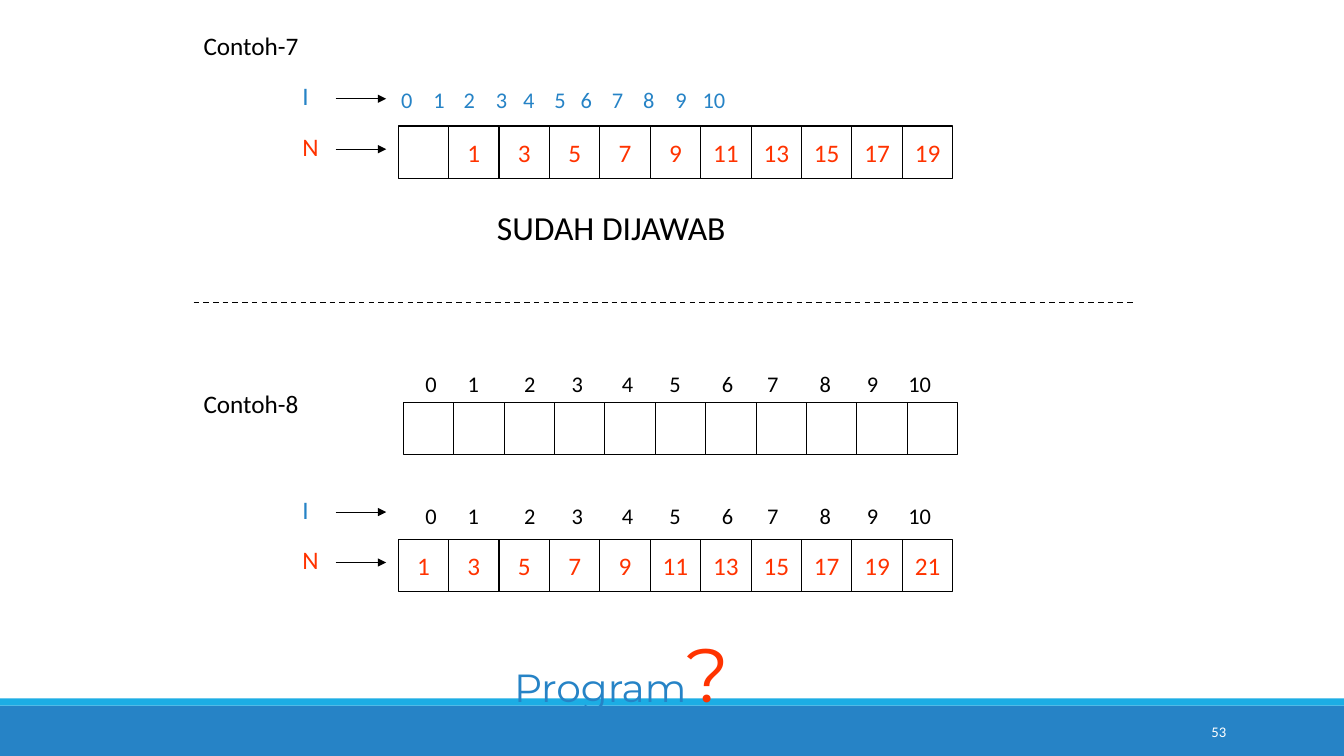
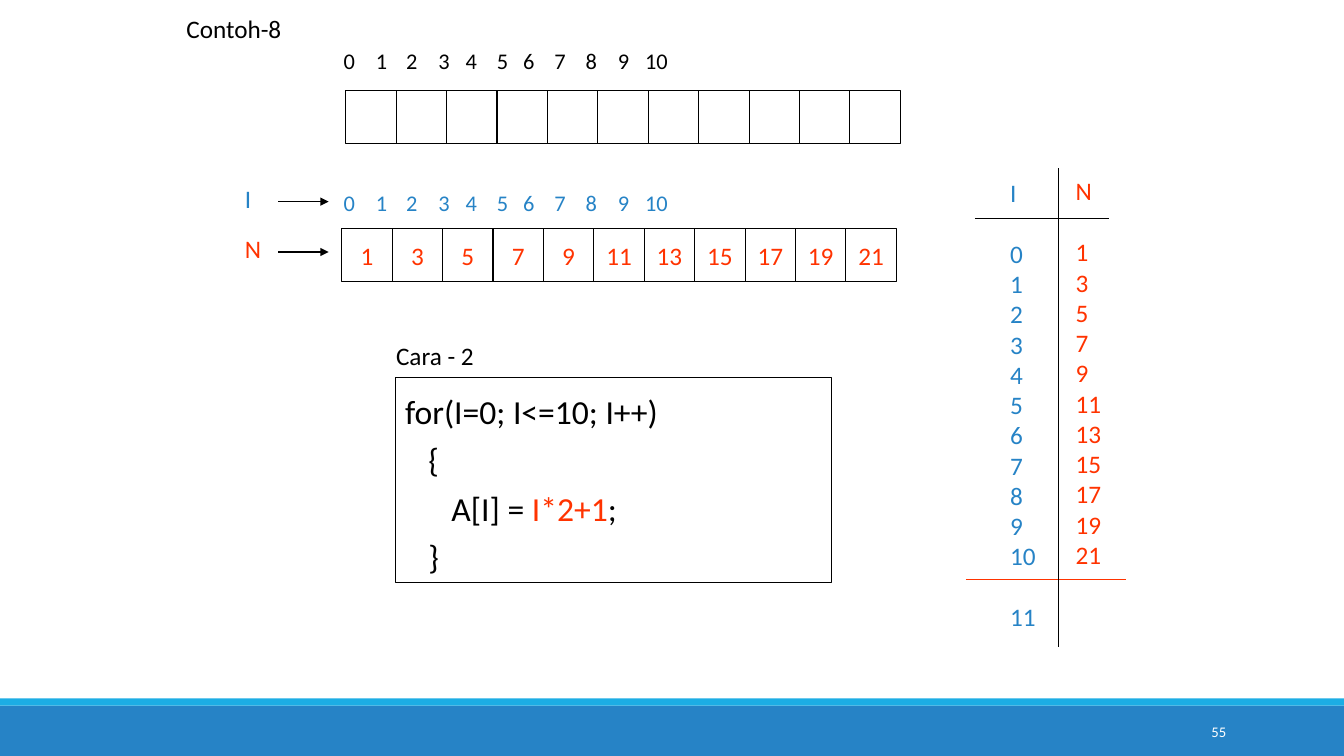
import pptx
import pptx.util
import pptx.dml.color
import pptx.enum.dml
import pptx.enum.shapes
import pptx.enum.text
import pptx.oxml.ns
import lxml.etree

Inches, Pt = pptx.util.Inches, pptx.util.Pt
RGB = pptx.dml.color.RGBColor.from_string
qn = pptx.oxml.ns.qn
RECT = pptx.enum.shapes.MSO_SHAPE.RECTANGLE
STRAIGHT = pptx.enum.shapes.MSO_CONNECTOR.STRAIGHT
ALIGN = pptx.enum.text.PP_ALIGN
ANCHOR = pptx.enum.text.MSO_ANCHOR
C = {"blue": "2683C6", "cyan": "1CADE4", "red": "FF3300", "black": "000000", "white": "FFFFFF"}


def write(sp, text, size, color, wrap=False, anchor=ANCHOR.TOP, align=ALIGN.LEFT):
    tf = sp.text_frame
    tf.text = text
    tf.word_wrap = wrap
    tf.vertical_anchor = anchor
    for p in tf.paragraphs:
        p.alignment = align
        for r in p.runs:
            r.font.name = "Calibri"
            r.font.size = Pt(size)
            r.font.color.rgb = RGB(C[color])
    return tf


def add_line(s, x1, y1, x2, y2, color="black", width=0.75):
    line = s.shapes.add_connector(STRAIGHT, Inches(x1), Inches(y1), Inches(x2), Inches(y2))
    line.line.color.rgb = RGB(C[color])
    line.line.width = Pt(width)
    lxml.etree.SubElement(line.element.spPr, qn("a:effectLst"))
    return line


prs = pptx.Presentation()
prs.slide_width, prs.slide_height = Inches(13.33), Inches(7.5)
layout = prs.slide_layouts[6]
s1, s2 = prs.slides.add_slide(layout), prs.slides.add_slide(layout)

for y, h, color in [(7, 0.5, "blue"), (6.93, 0.07, "cyan")]:
    band = s1.shapes.add_shape(RECT, 0, Inches(y), prs.slide_width, Inches(h))
    band.shadow.inherit = False
    band.fill.solid()
    band.fill.fore_color.rgb = RGB(C[color])
    band.line.fill.background()
    layout.shapes.element.append(band.element)

for s, number in [(s1, "53"), (s2, "55")]:
    sp = s.shapes.add_textbox(Inches(10.83), Inches(7.06), Inches(1.43), Inches(0.4))
    write(sp, number, 10.5, "white", True, ANCHOR.MIDDLE, ALIGN.RIGHT)

odds = [str(n) for n in range(1, 22, 2)]
empty = [""] * 11
rows = [
    (s1, 3.95, 1.25, [""] + odds[:10]),
    (s1, 4, 3.99, empty),
    (s1, 3.95, 5.35, odds),
    (s2, 3.43, 0.9, empty),
    (s2, 3.39, 2.27, odds),
]
for s, x, y, values in rows:
    group = s.shapes.add_group_shape()
    for i, value in enumerate(values):
        cell = group.shapes.add_shape(RECT, Inches(x + 0.5 * i), Inches(y), Inches(0.5), Inches(0.52))
        cell.shadow.inherit = False
        cell.fill.background()
        cell.line.color.rgb = RGB(C["black"])
        cell.line.width = Pt(0.75)
        if value:
            write(cell, value, 18, "red", False, ANCHOR.MIDDLE, ALIGN.CENTER)

narrow = [0.32, 0.62, 0.94, 1.21, 1.52, 1.78, 2.09, 2.4, 2.72, 2.99]
wide = [0.42, 0.98, 1.45, 1.95, 2.42, 2.94, 3.39, 3.91, 4.38, 4.79]
indices = [
    (s1, 3.88, 0.81, narrow, "blue"),
    (s1, 4.12, 3.62, wide, "black"),
    (s1, 4.12, 4.93, wide, "black"),
    (s2, 3.31, 0.42, narrow, "black"),
    (s2, 3.31, 1.83, narrow, "blue"),
]
for s, x, y, stops, color in indices:
    sp = s.shapes.add_textbox(Inches(x), Inches(y), Inches(stops[-1] + 0.6), Inches(0.37))
    tf = write(sp, "\t".join(str(n) for n in range(11)), 16, color, True)
    tabs = lxml.etree.SubElement(tf.paragraphs[0]._p.get_or_add_pPr(), qn("a:tabLst"))
    for stop in stops:
        lxml.etree.SubElement(tabs, qn("a:tab"), pos=str(Inches(stop)), algn="l")

for s, x, y in [(s1, 2.9, 0.75), (s1, 2.9, 4.85), (s2, 2.33, 1.77)]:
    for name, w, color, dy in [("I", 0.27, "blue", 0), ("N", 0.36, "red", 0.5)]:
        sp = s.shapes.add_textbox(Inches(x), Inches(y + dy), Inches(w), Inches(0.4))
        write(sp, name, 18, color)
        arrow = add_line(s, x + 0.43, y + dy + 0.23, x + 0.93, y + dy + 0.23)
        lxml.etree.SubElement(arrow.line._get_or_add_ln(), qn("a:tailEnd"), type="triangle")

labels = [
    (s1, 1.92, 0.25, 1.15, 0.4, "Contoh-7", 18, "black"),
    (s1, 1.92, 3.8, 1.15, 0.4, "Contoh-8", 18, "black"),
    (s1, 4.83, 2, 2.49, 0.5, "SUDAH DIJAWAB", 24, "black"),
    (s2, 1.75, 0.08, 1.15, 0.4, "Contoh-8", 18, "black"),
    (s2, 3.83, 3.33, 0.98, 0.4, "Cara - 2", 18, "black"),
    (s2, 10.57, 1.69, 0.36, 0.4, "N", 18, "red"),
    (s2, 10.57, 2.3, 0.46, 3.43, "\n".join(odds), 18, "red"),
]
for s, x, y, w, h, text, size, color in labels:
    write(s.shapes.add_textbox(Inches(x), Inches(y), Inches(w), Inches(h)), text, size, color)

divider = add_line(s1, 1.92, 3, 11.25, 3, width=1)
divider.line.dash_style = pptx.enum.dml.MSO_LINE.DASH

sp = s1.shapes.add_textbox(Inches(5), Inches(6.17), Inches(2.58), Inches(1))
p = write(sp, "", 28, "blue", True).paragraphs[0]
for text, size, color in [("Program", 28, "blue"), ("?", 54, "red")]:
    r = p.add_run()
    r.text = text
    r.font.name = "Montserrat"
    r.font.size = Pt(size)
    r.font.color.rgb = RGB(C[color])

sp = s2.shapes.add_textbox(Inches(9.92), Inches(1.71), Inches(0.46), Inches(4.64))
tf = write(sp, "\n".join(["I"] + [str(n) for n in range(12)]), 18, "blue")
for i in (1, 12):
    tf.paragraphs[i].space_before = Pt(22)
add_line(s2, 9.67, 2.17, 11, 2.17)
add_line(s2, 9.58, 5.75, 11.17, 5.75, "red")
add_line(s2, 10.5, 1.67, 10.5, 6.42)

code = s2.shapes.add_shape(RECT, Inches(3.92), Inches(3.75), Inches(4.33), Inches(2.03))
code.shadow.inherit = False
code.fill.background()
code.line.color.rgb = RGB(C["black"])
code.line.width = Pt(0.75)
tf = write(code, "for(I=0; I<=10; I++)\n{\nA[I] = \n}", 24, "black", True)
for p, level in zip(tf.paragraphs, [0, 1, 2, 1]):
    p.line_spacing = 1.2
    p._p.get_or_add_pPr().set("marL", str(Inches(0.23 * level)))
for text, color in [("I*2+1", "red"), (";", "black")]:
    r = tf.paragraphs[2].add_run()
    r.text = text
    r.font.name = "Calibri"
    r.font.size = Pt(24)
    r.font.color.rgb = RGB(C[color])

prs.save("out.pptx")
